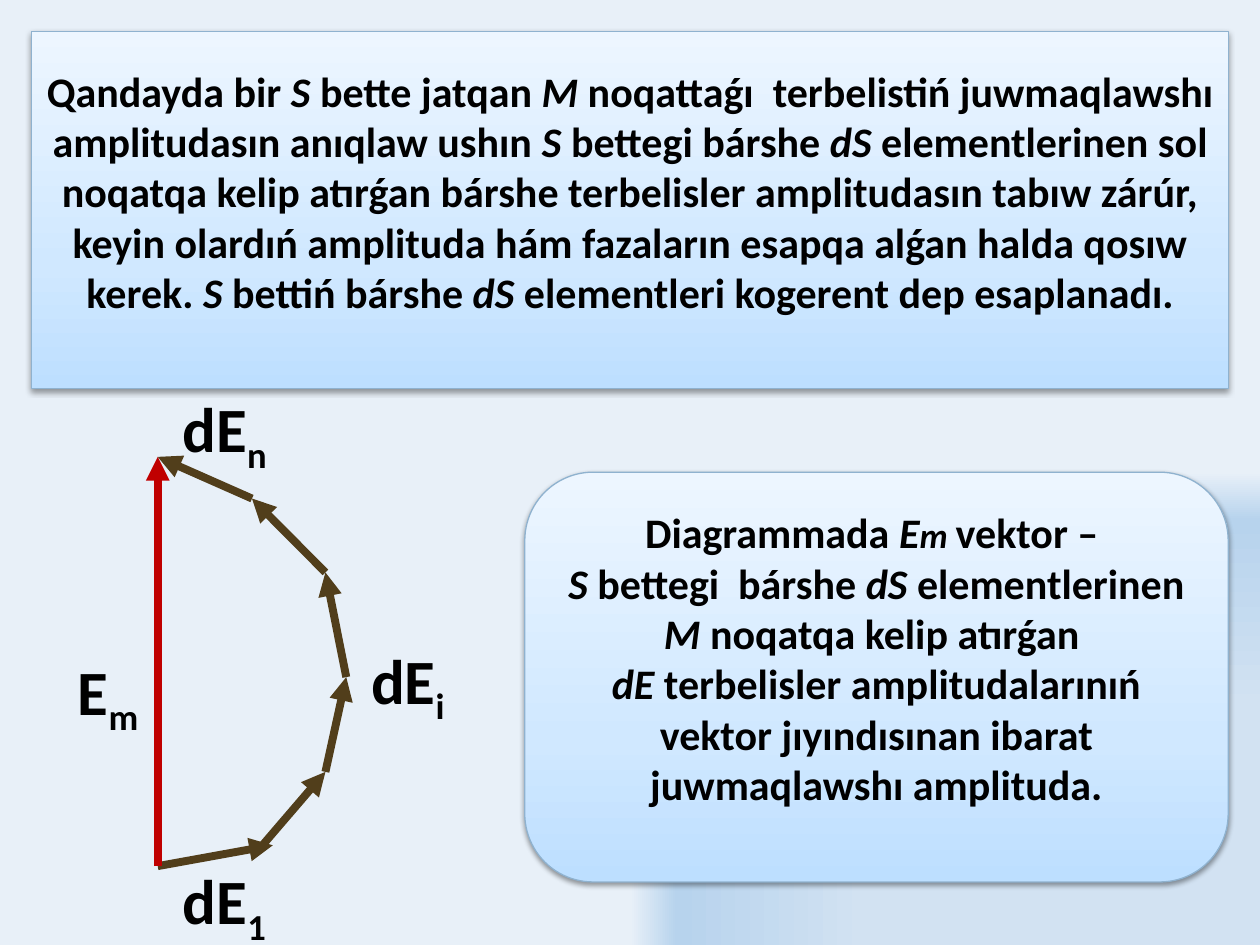
from typing import NamedTuple

from lxml import etree
from pptx import Presentation
from pptx.dml.color import RGBColor
from pptx.enum.shapes import MSO_CONNECTOR, MSO_SHAPE
from pptx.enum.text import MSO_ANCHOR, MSO_AUTO_SIZE, PP_ALIGN
from pptx.oxml.ns import qn
from pptx.util import Cm, Pt

RECTANGLE = MSO_SHAPE.RECTANGLE
ROUNDED = MSO_SHAPE.ROUNDED_RECTANGLE
STRAIGHT = MSO_CONNECTOR.STRAIGHT
MIDDLE = MSO_ANCHOR.MIDDLE
FIT_TEXT = MSO_AUTO_SIZE.SHAPE_TO_FIT_TEXT
CENTER = PP_ALIGN.CENTER

FONT = "Calibri"
COLORS = {
    "text": "000000",
    "border": "8FB2CF",
    "element": "513E1B",
    "resultant": "C00000",
    "shadow": "000000",
}
PANEL_STOPS = [(0, "BDDFFF"), (35, "D0E8FF"), (100, "EDF6FF")]
BACKGROUND_STOPS = [(50, "D2E2F2"), (90, "B7D3ED"), (100, "E8F0F8")]


class Run(NamedTuple):
    text: str
    italic: bool = False
    size: int = 24


class Panel(NamedTuple):
    outline: int
    left: float
    top: float
    width: float
    height: float
    paragraphs: list


class Arrow(NamedTuple):
    start: tuple
    end: tuple
    color: str = "element"


class Label(NamedTuple):
    base: str
    subscript: str
    left: float
    top: float
    width: float


PANELS = [
    Panel(RECTANGLE, 0.64, 0.64, 24.13, 7.2, [[
        Run("Qandayda bir "), Run("S ", True), Run("bette jatqan "), Run("M ", True),
        Run("noqattaǵı  terbelistiń juwmaqlawshı amplitudasın anıqlaw ushın "),
        Run("S ", True), Run("bettegi bárshe "), Run("dS ", True),
        Run("elementlerinen sol noqatqa kelip atırǵan bárshe terbelisler "
            "amplitudasın tabıw zárúr, keyin olardıń amplituda hám fazaların "
            "esapqa alǵan halda qosıw kerek. "),
        Run("S", True), Run(" bettiń bárshe "), Run("dS ", True),
        Run("elementleri kogerent dep esaplanadı."),
    ]]),
    Panel(ROUNDED, 10.58, 9.52, 14.18, 8.26, [
        [Run("Diagrammada "), Run("E", True), Run("m ", True, 20), Run("vektor – ")],
        [Run("S ", True), Run("bettegi  bárshe "), Run("dS ", True),
         Run("elementlerinen "), Run("М ", True), Run("noqatqa kelip atırǵan ")],
        [Run("dE ", True),
         Run("terbelisler amplitudalarınıń vektor jıyındısınan ibarat "
             "juwmaqlawshı amplituda.")],
    ]),
]

# The element vectors run head to tail from the origin to the tip
ORIGIN, TIP = (3.18, 17.46), (3.18, 9.21)
CHAIN = [(5.29, 17.04), (6.56, 15.56), (6.98, 13.65), (6.56, 11.54), (5.08, 10.05), TIP]
ARROWS = [
    Arrow(ORIGIN, (5.5, 17.04)),
    *(Arrow(start, end) for start, end in zip(CHAIN, CHAIN[1:])),
    Arrow(ORIGIN, TIP, "resultant"),
]

LABEL_HEIGHT = 1.79
LABELS = [
    Label("Е", "m", 1.27, 13.02, 1.82),
    Label("dЕ", "1", 3.39, 17.24, 2.27),
    Label("dЕ", "n", 3.39, 7.73, 2.28),
    Label("dЕ", "i", 7.2, 12.8, 2.05),
]


def add_color(parent, color: str):
    return etree.SubElement(parent, qn("a:srgbClr"), val=color)


def set_gradient_stops(owner, stops: list):
    """Replace the stops of the gradient inside owner and return the gradient."""
    gradient = owner.find(".//" + qn("a:gradFill"))
    stop_list = gradient.find(qn("a:gsLst"))
    for stop in list(stop_list):
        stop_list.remove(stop)
    for position, color in stops:
        add_color(etree.SubElement(stop_list, qn("a:gs"), pos=str(position * 1000)), color)
    return gradient


def set_background(slide) -> None:
    slide.background.fill.gradient()
    gradient = set_gradient_stops(slide.background._cSld, BACKGROUND_STOPS)
    gradient.remove(gradient.find(qn("a:lin")))
    rectangle = etree.SubElement(gradient, qn("a:path"), {"path": "rect"})
    etree.SubElement(rectangle, qn("a:fillToRect"), l="100000", t="100000")


def add_run(paragraph, text: str, size: int):
    run = paragraph.add_run()
    run.text = text
    run.font.name = FONT
    run.font.size = Pt(size)
    run.font.bold = True
    run.font.color.rgb = RGBColor.from_string(COLORS["text"])
    return run


def add_panel(slide, panel: Panel) -> None:
    shape = slide.shapes.add_shape(
        panel.outline, Cm(panel.left), Cm(panel.top), Cm(panel.width), Cm(panel.height))
    shape.fill.gradient()
    shape.fill.gradient_angle = 90
    properties = shape._element.spPr
    set_gradient_stops(properties, PANEL_STOPS)
    shape.line.color.rgb = RGBColor.from_string(COLORS["border"])
    shape.line.width = Pt(0.75)

    # Soft shadow below the panel
    shape.shadow.inherit = False
    shadow = etree.SubElement(
        properties.find(qn("a:effectLst")), qn("a:outerShdw"),
        blurRad=str(Pt(3.1)), dist=str(Pt(1.6)), dir="5400000", rotWithShape="0")
    etree.SubElement(add_color(shadow, COLORS["shadow"]), qn("a:alpha"), val="38000")

    text_frame = shape.text_frame
    text_frame.word_wrap = True
    text_frame.vertical_anchor = MIDDLE
    text_frame.margin_bottom = Cm(0.9)
    for index, runs in enumerate(panel.paragraphs):
        paragraph = text_frame.add_paragraph() if index else text_frame.paragraphs[0]
        paragraph.alignment = CENTER
        for part in runs:
            add_run(paragraph, part.text, part.size).font.italic = part.italic


def add_arrow(slide, arrow: Arrow) -> None:
    ends = [Cm(value) for value in arrow.start + arrow.end]
    connector = slide.shapes.add_connector(STRAIGHT, *ends)
    connector.line.color.rgb = RGBColor.from_string(COLORS[arrow.color])
    connector.line.width = Pt(4.5)
    properties = connector._element.spPr
    etree.SubElement(properties.find(qn("a:ln")), qn("a:tailEnd"), type="triangle")
    etree.SubElement(properties, qn("a:effectLst"))


def add_label(slide, label: Label) -> None:
    box = slide.shapes.add_textbox(
        Cm(label.left), Cm(label.top), Cm(label.width), Cm(LABEL_HEIGHT))
    box.text_frame.word_wrap = False
    box.text_frame.auto_size = FIT_TEXT
    paragraph = box.text_frame.paragraphs[0]
    paragraph.alignment = CENTER
    add_run(paragraph, label.base, 36)
    subscript = add_run(paragraph, label.subscript, 36)
    subscript.font._element.set("baseline", "-25000")


def main() -> None:
    presentation = Presentation()
    presentation.slide_width, presentation.slide_height = Cm(25.4), Cm(19.05)
    slide = presentation.slides.add_slide(presentation.slide_layouts[6])
    set_background(slide)
    for panel in PANELS:
        add_panel(slide, panel)
    for arrow in ARROWS:
        add_arrow(slide, arrow)
    for label in LABELS:
        add_label(slide, label)
    presentation.save("out.pptx")


if __name__ == "__main__":
    main()
